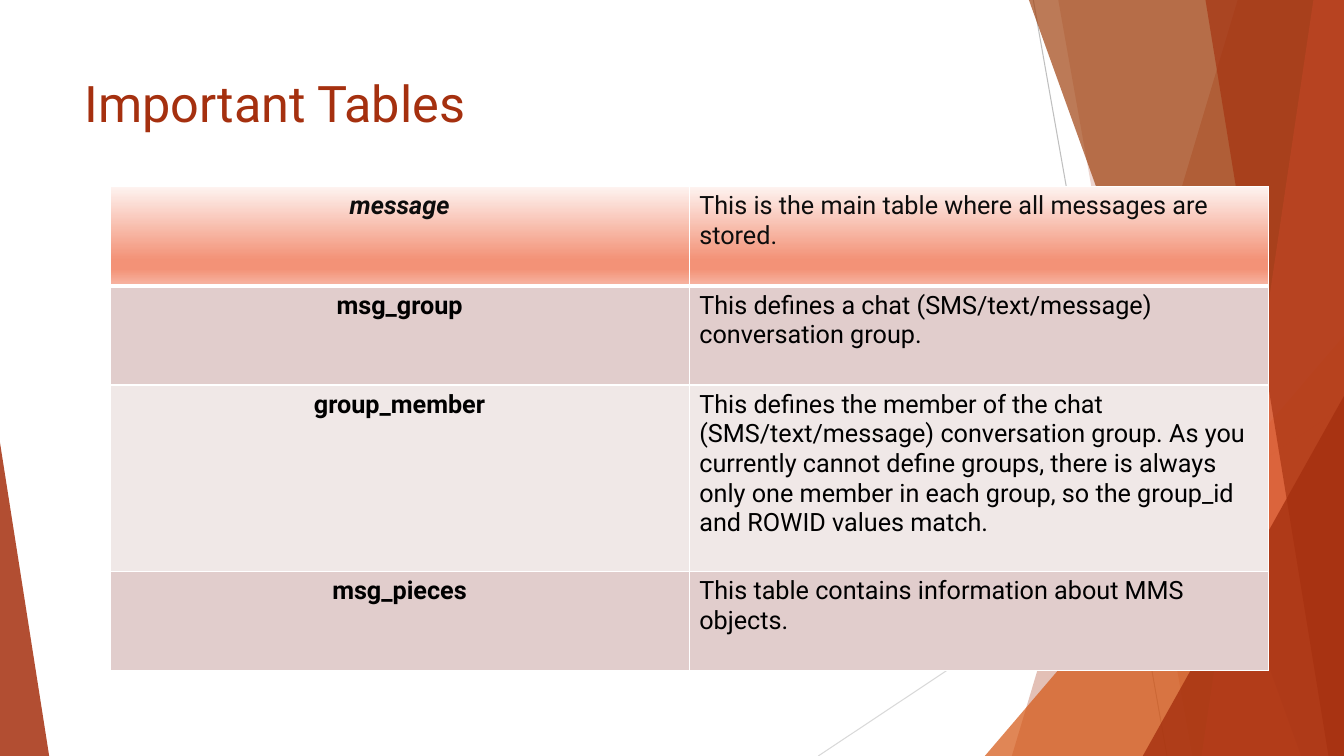
from dataclasses import dataclass

from pptx import Presentation
from pptx.dml.color import RGBColor
from pptx.enum.shapes import MSO_CONNECTOR, MSO_SHAPE
from pptx.enum.text import MSO_ANCHOR, PP_ALIGN
from pptx.oxml import parse_xml
from pptx.oxml.ns import nsdecls, qn
from pptx.util import Cm, Pt


@dataclass(frozen=True)
class Theme:
    font: str = "Roboto"
    title_size: int = 36
    table_size: int = 18
    red: str = "A5300F"
    orange: str = "D55816"
    brown: str = "A04210"
    coral: str = "EE6E4A"
    dark_line: str = "BFBFBF"
    light_line: str = "D9D9D9"
    border: str = "FFFFFF"
    header_text: str = "0D0D0D"
    text: str = "000000"
    bands: tuple = ("E1CDCC", "F0E8E7")
    header_stops: tuple = ((0, "FEF3F0"), (74, "F39277"), (83, "F39277"), (100, "F7B6A4"))


@dataclass(frozen=True)
class Box:
    """A region of the slide, in centimetres."""
    left: float
    top: float
    width: float
    height: float


THEME = Theme()
SLIDE = Box(0, 0, 33.87, 19.05)
RIGHT_ART = Box(20.62, 0, 13.25, 19.05)
LEFT_ART = Box(0, 11.15, 1.24, 7.9)
TITLE = Box(1.88, 1.7, 23.88, 3.66)
TABLE = Box(2.77, 4.7, 29.2, 12.2)

ROWS = [
    ("message", "This is the main table where all messages are stored.", 2.5),
    ("msg_group", "This defines a chat (SMS/text/message) conversation group.", 2.5),
    ("group_member",
     "This defines the member of the chat (SMS/text/message) conversation group. "
     "As you currently cannot define groups, there is always only one member in each "
     "group, so the group_id and ROWID values match.", 4.7),
    ("msg_pieces", "This table contains information about MMS objects.", 2.5),
]


def rgb(colour):
    return RGBColor.from_string(colour)


def style_font(font, size, colour):
    font.name = THEME.font
    font.size = Pt(size)
    font.color.rgb = rgb(colour)


# Background art
def paint(shape, colour, opacity):
    shape.shadow.inherit = False
    shape.line.fill.background()
    shape.fill.solid()
    shape.fill.fore_color.rgb = rgb(colour)
    tint = shape.fill._xPr.find(qn("a:solidFill"))[0]
    tint.append(parse_xml(f'<a:alpha {nsdecls("a")} val="{opacity * 1000}"/>'))


def add_line(page, box, start, end, colour):
    (x1, y1), (x2, y2) = start, end
    line = page.shapes.add_connector(
        MSO_CONNECTOR.STRAIGHT, Cm(box.left + x1), Cm(box.top + y1),
        Cm(box.left + x2), Cm(box.top + y2))
    line.line.color.rgb = rgb(colour)
    line.line.width = Pt(0.75)
    line._element.spPr.append(parse_xml(f'<a:effectLst {nsdecls("a")}/>'))


def add_facet(page, box, top_x, bottom_x, colour, opacity):
    """Fill the box from a slanted left side to its right edge."""
    right, bottom = Cm(box.left + box.width), Cm(box.top + box.height)
    outline = page.shapes.build_freeform(Cm(box.left + top_x), Cm(box.top))
    outline.add_line_segments(
        [(right, Cm(box.top)), (right, bottom), (Cm(box.left + bottom_x), bottom)])
    paint(outline.convert_to_shape(), colour, opacity)


def add_triangle(page, box, apex, colour, opacity):
    triangle = page.shapes.add_shape(
        MSO_SHAPE.ISOSCELES_TRIANGLE, Cm(box.left), Cm(box.top), Cm(box.width), Cm(box.height))
    triangle.adjustments[0] = apex
    paint(triangle, colour, opacity)


def add_corner(page, box, left, top, colour, opacity):
    """Fill the lower right corner of the box with a triangle."""
    corner = Box(box.left + left, box.top + top, box.width - left, box.height - top)
    add_triangle(page, corner, 1, colour, opacity)


def add_right_art(page, box):
    add_line(page, box, (5.42, 0), (8.79, box.height), THEME.dark_line)
    add_line(page, box, (box.width, 10.24), (0, box.height), THEME.light_line)
    for add_part, x, y, colour, opacity in (
        (add_facet, 10.57, 4.88, THEME.red, 30),
        (add_facet, 6.05, 9.43, THEME.red, 20),
        (add_corner, 4.2, 8.46, THEME.orange, 72),
        (add_facet, 5.31, 12.17, THEME.brown, 70),
        (add_facet, 12.48, 9.66, THEME.coral, 70),
        (add_facet, 9.76, 12.86, THEME.red, 65),
        (add_corner, 8.18, 9.98, THEME.red, 80),
    ):
        add_part(page, box, x, y, colour, opacity)


# Title
def fill_title(page, box, text):
    title = page.shapes.title
    title.left, title.top = Cm(box.left), Cm(box.top)
    title.width, title.height = Cm(box.width), Cm(box.height)
    title.text_frame.vertical_anchor = MSO_ANCHOR.TOP
    title.text_frame.text = text
    para = title.text_frame.paragraphs[0]
    para.alignment = PP_ALIGN.LEFT
    style_font(para.font, THEME.title_size, THEME.red)


# Table
def fill_header(cell):
    stops = "".join(
        f'<a:gs pos="{place * 1000}"><a:srgbClr val="{colour}"/></a:gs>'
        for place, colour in THEME.header_stops)
    cell._tc.get_or_add_tcPr().append(parse_xml(
        f'<a:gradFill {nsdecls("a")} rotWithShape="1"><a:gsLst>{stops}</a:gsLst>'
        '<a:lin ang="5400000" scaled="0"/></a:gradFill>'))


def set_borders(cell, top, bottom):
    properties = cell._tc.get_or_add_tcPr()
    widths = {"lnL": 1, "lnR": 1, "lnT": top, "lnB": bottom}
    for index, (side, width) in enumerate(widths.items()):
        properties.insert(index, parse_xml(
            f'<a:{side} {nsdecls("a")} w="{Pt(width)}"><a:solidFill>'
            f'<a:srgbClr val="{THEME.border}"/></a:solidFill></a:{side}>'))


def add_table(page, box, rows):
    table = page.shapes.add_table(
        len(rows), 2, Cm(box.left), Cm(box.top), Cm(box.width), Cm(box.height)).table
    for column in table.columns:
        column.width = Cm(box.width / 2)
    for r, (name, meaning, height) in enumerate(rows):
        table.rows[r].height = Cm(height)
        is_header = r == 0
        for c, text in enumerate((name, meaning)):
            cell = table.cell(r, c)
            cell.text = text
            para = cell.text_frame.paragraphs[0]
            is_name = c == 0
            para.alignment = PP_ALIGN.CENTER if is_name else PP_ALIGN.LEFT
            style_font(para.font, THEME.table_size,
                       THEME.header_text if is_header else THEME.text)
            para.font.bold = is_name
            para.font.italic = is_name and is_header
            if is_header:
                fill_header(cell)
            else:
                cell.fill.solid()
                cell.fill.fore_color.rgb = rgb(THEME.bands[(r - 1) % 2])
            set_borders(cell, top=3 if r == 1 else 1, bottom=3 if is_header else 1)


def build_tables_slide(deck):
    page = deck.slides.add_slide(deck.slide_layouts[5])
    add_right_art(page, RIGHT_ART)
    add_triangle(page, LEFT_ART, 0, THEME.red, 85)
    fill_title(page, TITLE, "Important Tables")
    add_table(page, TABLE, ROWS)


def main():
    deck = Presentation()
    deck.slide_width, deck.slide_height = Cm(SLIDE.width), Cm(SLIDE.height)
    build_tables_slide(deck)
    deck.save("out.pptx")


if __name__ == "__main__":
    main()
